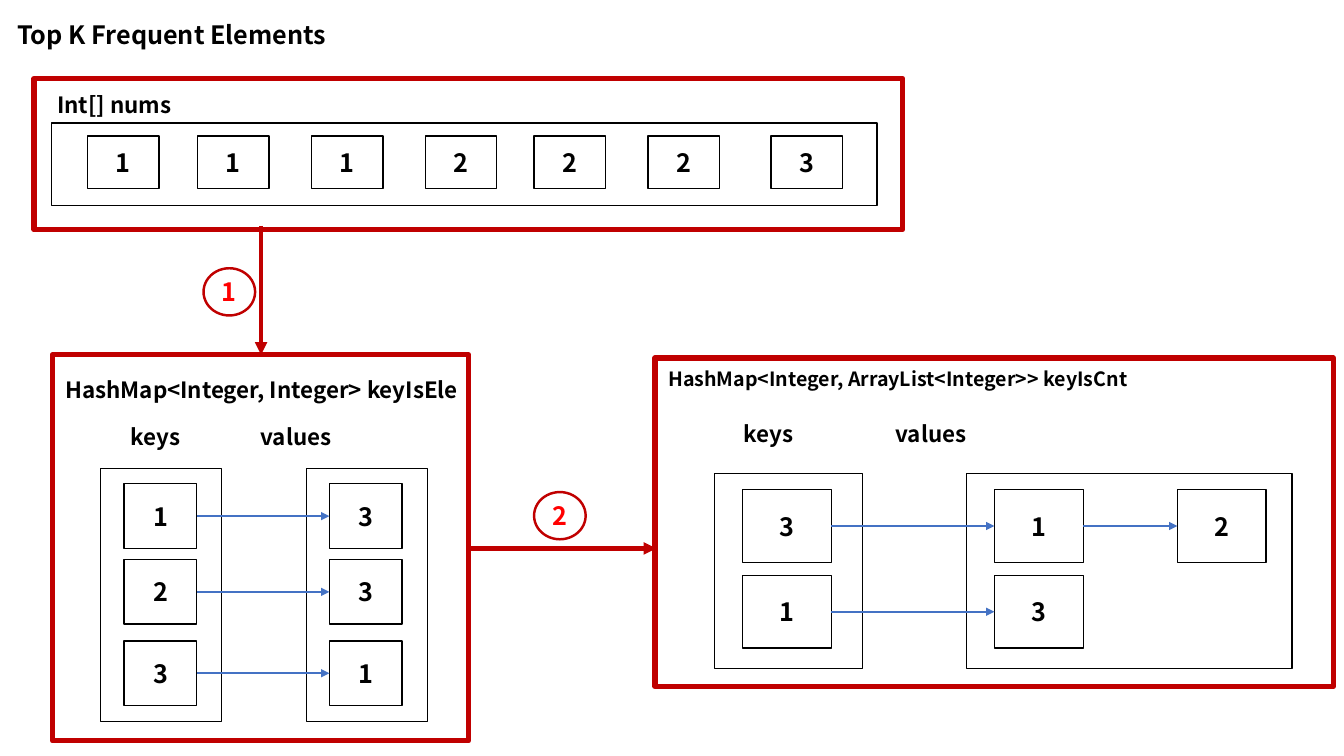
import pptx
import pptx.util
import pptx.dml.color
import pptx.enum.shapes
import pptx.enum.text
import pptx.oxml
import pptx.oxml.ns

Cm = pptx.util.Cm
SHAPE = pptx.enum.shapes.MSO_SHAPE
ANCHOR = pptx.enum.text.MSO_ANCHOR
ALIGN = pptx.enum.text.PP_ALIGN

FONT = "Noto Sans CJK KR"
COLORS = {"ink": "000000", "paper": "FFFFFF", "frame": "C00000",
          "step": "FF0000", "link": "4472C4"}

# All lengths are in centimetres; boxes are (left, top, width, height).
TITLE = ("Top K Frequent Elements", (0.18, 0.36, 8.84, 1.02))
PANELS = [
    {"frame": (0.86, 1.98, 21.89, 3.81),
     "labels": [("Int[] nums", 16, (1.19, 2.16, 3.61, 0.94))],
     "holders": [(1.3, 3.1, 20.8, 2.08)],
     "cell_size": (1.8, 1.32),
     "column_lefts": [2.21, 4.98, 7.85, 10.72, 13.46, 16.33, 19.43],
     "row_tops": [3.43],
     "rows": ["1112223"], "linked": False},
    {"frame": (1.32, 8.94, 10.49, 9.73),
     "labels": [("HashMap<Integer, Integer> keyIsEle", 16, (1.4, 9.35, 10.74, 0.86)),
                ("keys", 16, (3.05, 10.54, 2.5, 0.94)),
                ("values", 16, (6.32, 10.54, 2.5, 0.94))],
     "holders": [(2.54, 11.81, 3.05, 6.38), (7.72, 11.81, 3.05, 6.38)],
     "cell_size": (1.83, 1.63),
     "column_lefts": [3.13, 8.3],
     "row_tops": [12.19, 14.1, 16.15],
     "rows": ["13", "23", "31"], "linked": True},
    {"frame": (16.51, 9.02, 17.09, 8.28),
     "labels": [("HashMap<Integer, ArrayList<Integer>> keyIsCnt", 14,
                 (16.59, 9.12, 17, 0.86)),
                ("keys", 16, (18.49, 10.47, 2.5, 0.94)),
                ("values", 16, (22.32, 10.47, 2.5, 0.94))],
     "holders": [(18.01, 11.94, 3.73, 4.9), (24.36, 11.94, 8.2, 4.9)],
     "cell_size": (2.24, 1.83),
     "column_lefts": [18.71, 25.06, 29.67],
     "row_tops": [12.34, 14.5],
     "rows": ["312", "13"], "linked": True},
]
STEPS = [
    {"number": "1", "badge": (5.13, 6.76, 1.3, 1.19), "arrow": (6.58, 5.69, 6.58, 8.94)},
    {"number": "2", "badge": (13.46, 12.4, 1.3, 1.19), "arrow": (11.84, 13.82, 16.54, 13.82)},
]


def lengths(values):
    """Turn centimetre values into slide lengths."""
    return [Cm(value) for value in values]


def rgb(name):
    """Look up a named colour."""
    return pptx.dml.color.RGBColor.from_string(COLORS[name])


def write_text(shape, text, size=18, color="ink", align=ALIGN.LEFT, anchor=ANCHOR.TOP):
    """Write one bold line of text into a shape."""
    frame = shape.text_frame
    frame.word_wrap = True
    frame.auto_size = pptx.enum.text.MSO_AUTO_SIZE.NONE
    frame.vertical_anchor = anchor
    paragraph = frame.paragraphs[0]
    paragraph.alignment = align
    paragraph.line_spacing = 1.0
    paragraph.space_before = pptx.util.Pt(0)
    run = paragraph.add_run()
    run.text = text
    run.font.name, run.font.size, run.font.bold = FONT, pptx.util.Pt(size), True
    run.font.color.rgb = rgb(color)


def add_outline(shapes, box, kind=SHAPE.RECTANGLE, fill=None, line="ink", weight=1,
                text=None, text_color="ink"):
    """Add an outlined shape with an optional fill and centred text."""
    shape = shapes.add_shape(kind, *lengths(box))
    shape.shadow.inherit = False
    if fill:
        shape.fill.solid()
        shape.fill.fore_color.rgb = rgb(fill)
    else:
        shape.fill.background()
    shape.line.color.rgb = rgb(line)
    shape.line.width = pptx.util.Pt(weight)
    if text:
        write_text(shape, text, color=text_color, align=ALIGN.CENTER, anchor=ANCHOR.MIDDLE)
    return shape


def add_arrow(shapes, ends, color, weight):
    """Add a straight arrow between two points, given as slide lengths."""
    arrow = shapes.add_connector(pptx.enum.shapes.MSO_CONNECTOR.STRAIGHT, *ends)
    arrow.line.color.rgb = rgb(color)
    arrow.line.width = pptx.util.Pt(weight)
    head = pptx.oxml.parse_xml(
        "<a:tailEnd %s type='triangle'/>" % pptx.oxml.ns.nsdecls("a"))
    arrow.line._get_or_add_ln().append(head)
    arrow._element.spPr.append(
        pptx.oxml.parse_xml("<a:effectLst %s/>" % pptx.oxml.ns.nsdecls("a")))
    return arrow


def link_cells(shapes, source, target):
    """Join the right side of one cell to the left side of the next."""
    middle = source.top + source.height // 2
    arrow = add_arrow(shapes, (source.left + source.width, middle, target.left, middle),
                      "link", 1.75)
    arrow.begin_connect(source, 3)
    arrow.end_connect(target, 1)


def add_panel(slide, panel):
    """Draw one data structure as a group: frame, labels, holders, cells, links."""
    shapes = slide.shapes.add_group_shape().shapes
    add_outline(shapes, panel["frame"], line="frame", weight=3.75)
    for text, size, box in panel["labels"]:
        write_text(shapes.add_textbox(*lengths(box)), text, size=size)
    for box in panel["holders"]:
        add_outline(shapes, box, fill="paper")
    for top, numbers in zip(panel["row_tops"], panel["rows"]):
        cells = [add_outline(shapes, (left, top, *panel["cell_size"]),
                             fill="paper", text=number)
                 for left, number in zip(panel["column_lefts"], numbers)]
        if panel["linked"]:
            for source, target in zip(cells, cells[1:]):
                link_cells(shapes, source, target)


presentation = pptx.Presentation()
presentation.slide_width, presentation.slide_height = Cm(33.87), Cm(19.05)
slide = presentation.slides.add_slide(presentation.slide_layouts.get_by_name("Title Only"))

title = slide.shapes.title
title_text, title_box = TITLE
title.left, title.top, title.width, title.height = lengths(title_box)
write_text(title, title_text)

for panel in PANELS:
    add_panel(slide, panel)
for step in STEPS:
    add_arrow(slide.shapes, lengths(step["arrow"]), "frame", 3)
    add_outline(slide.shapes, step["badge"], kind=SHAPE.OVAL, line="frame", weight=1.75,
                text=step["number"], text_color="step")

presentation.save("out.pptx")
